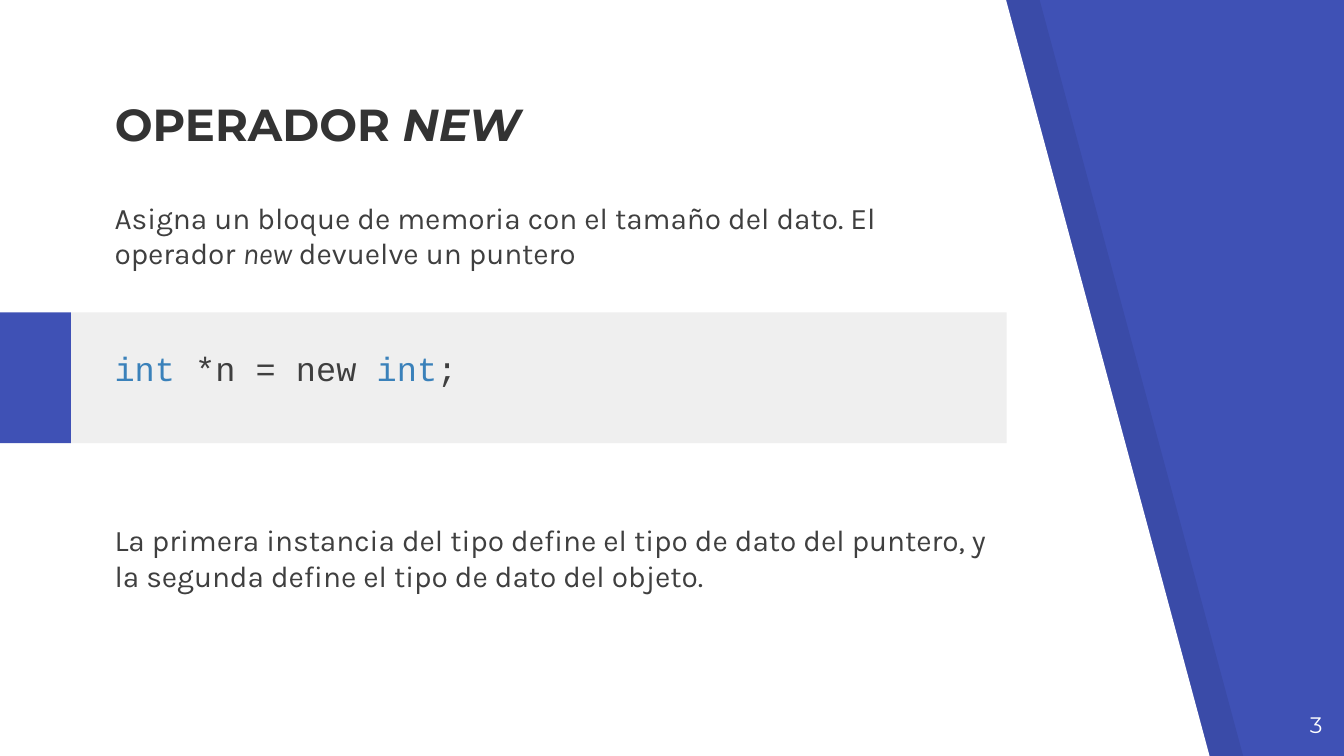
from lxml import etree
from pptx import Presentation
from pptx.dml.color import RGBColor
from pptx.enum.shapes import MSO_SHAPE
from pptx.enum.text import MSO_ANCHOR, PP_ALIGN
from pptx.oxml.ns import qn
from pptx.util import Pt

RECT = MSO_SHAPE.RECTANGLE
TOP, BOTTOM = MSO_ANCHOR.TOP, MSO_ANCHOR.BOTTOM
LEFT, RIGHT = PP_ALIGN.LEFT, PP_ALIGN.RIGHT

BLUE = RGBColor(0x3F, 0x51, 0xB5)
WHITE = RGBColor(0xFF, 0xFF, 0xFF)
BLACK = RGBColor(0, 0, 0)
PALE = RGBColor(0xEF, 0xEF, 0xEF)
DARK = RGBColor(0x33, 0x33, 0x33)
GREY = RGBColor(0x3F, 0x3F, 0x3F)
KEYWORD = RGBColor(0x3A, 0x81, 0xBA)

# Content: runs are (text, format) pairs
TITLE = [("OPERADOR ", {}), ("NEW", {"italic": True})]
INTRO = [("Asigna un bloque de memoria con el tamaño del dato. El operador ", {}),
         ("new", {"italic": True}), (" devuelve un puntero", {})]
CODE = [("int", {"color": KEYWORD}), (" *n = new ", {}),
        ("int", {"color": KEYWORD}), (";", {})]
OUTRO = [("La primera instancia del tipo define el tipo de dato del puntero, "
          "y la segunda define el tipo de dato del objeto.", {})]
NUMBER = [("3", {})]

# Layout in points
W, H = 720, 405
TEXT_X, TEXT_W = 54.3, 484.5
EDGE_TOP, EDGE_BOTTOM = 539.3, 647.8
BAND_Y, BAND_H, TAB_W = 167.4, 70, 38
BODY = {"size": 16, "font": "Karla", "color": GREY, "before": 6}


def write(sp, box, runs, size, font, color, bold=False, before=0,
          align=LEFT, anchor=TOP):
    sp.left, sp.top, sp.width, sp.height = map(Pt, box)
    tf = sp.text_frame
    tf.word_wrap = True
    tf.vertical_anchor = anchor
    tf.margin_left = tf.margin_right = tf.margin_top = tf.margin_bottom = Pt(7.2)
    p = tf.paragraphs[0]
    p.alignment = align
    p.space_before = Pt(before)
    for text, style in runs:
        r = p.add_run()
        r.text = text
        r.font.name, r.font.size, r.font.bold = font, Pt(size), bold
        r.font.italic = style.get("italic", False)
        r.font.color.rgb = style.get("color", color)


def paint(sp, color, alpha=None):
    sp.shadow.inherit = False
    sp.fill.solid()
    sp.fill.fore_color.rgb = color
    sp.line.fill.background()
    if alpha is not None:
        clr = sp.element.spPr.find(qn("a:solidFill"))[0]
        etree.SubElement(clr, qn("a:alpha"), val=str(alpha * 1000))


prs = Presentation()
prs.slide_width, prs.slide_height = Pt(W), Pt(H)
s = prs.slides.add_slide(prs.slide_layouts[5])
s.background.fill.solid()
s.background.fill.fore_color.rgb = BLUE

# Slanted page with its shade to the right
for shift, color, alpha in [(18, BLACK, 7), (0, WHITE, None)]:
    fb = s.shapes.build_freeform(shift, 0, scale=Pt(1))
    fb.add_line_segments([(shift, H), (EDGE_BOTTOM + shift, H),
                          (EDGE_TOP + shift, 0)], close=True)
    paint(fb.convert_to_shape(), color, alpha)

# Code band with its blue tab
for x, right, color in [(TAB_W, EDGE_TOP, PALE), (0, TAB_W, BLUE)]:
    paint(s.shapes.add_shape(RECT, Pt(x), Pt(BAND_Y), Pt(right - x), Pt(BAND_H)), color)

# Title, brought in front of the page shapes
title = s.shapes.title
title.element.getparent().append(title.element)
write(title, (TEXT_X, 55.5, TEXT_W, 32.5), TITLE, size=24,
      font="Montserrat", color=DARK, bold=True, anchor=BOTTOM)

# Body, code and slide number
for box, runs, style in [
    ((TEXT_X, 99.5, TEXT_W, 67.5), INTRO, BODY),
    ((TEXT_X, 179, TEXT_W, 43.5), CODE, {**BODY, "size": 18, "font": "Courier New"}),
    ((TEXT_X, 272.2, TEXT_W, 48), OUTRO, BODY),
    ((672.5, 374, 43, 31), NUMBER,
     {"size": 12, "font": "Montserrat", "color": WHITE, "align": RIGHT}),
]:
    write(s.shapes.add_textbox(0, 0, 0, 0), box, runs, **style)

prs.save("out.pptx")
